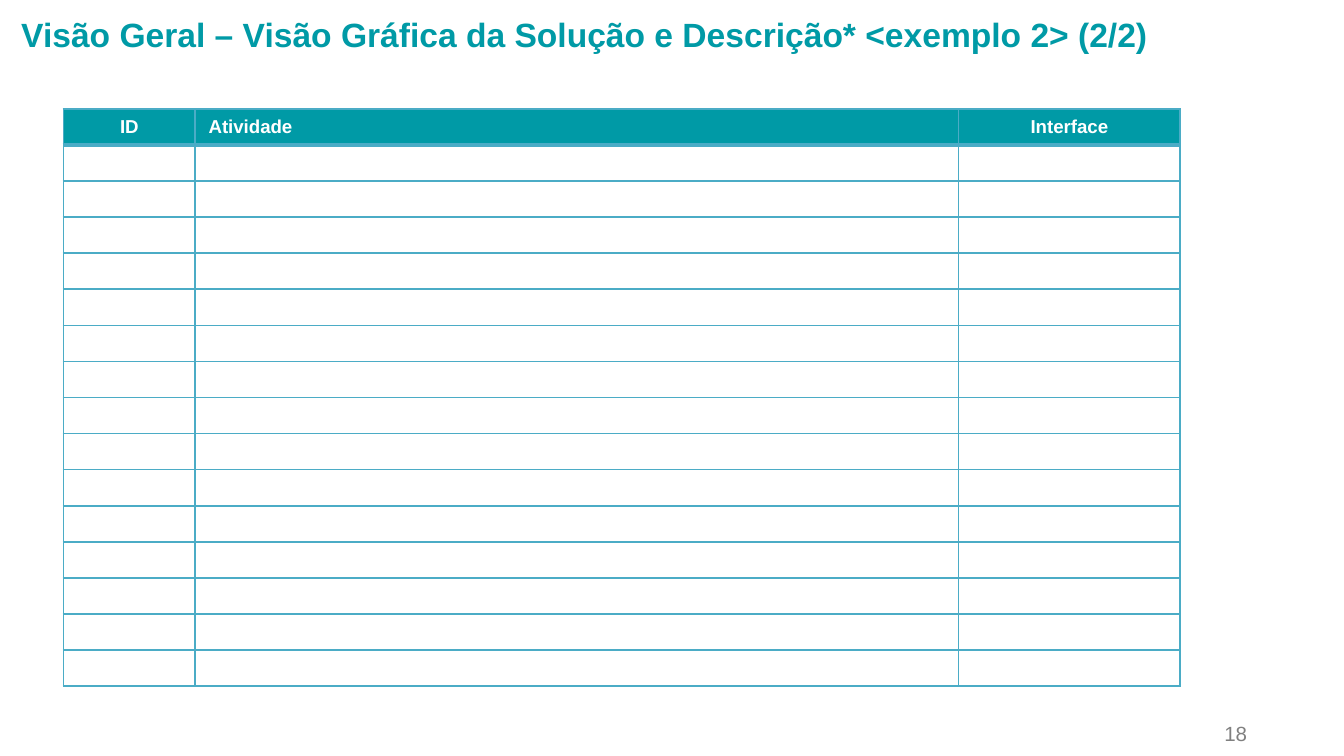
"""Build the activity table slide of a solution overview."""
import pptx
import pptx.dml.color
import pptx.enum.text
import pptx.oxml
import pptx.oxml.ns
import pptx.util

Pt = pptx.util.Pt
ALIGN = pptx.enum.text.PP_ALIGN
MIDDLE = pptx.enum.text.MSO_ANCHOR.MIDDLE
COLOURS = {"teal": "009AA6", "grid": "4BACC6", "white": "FFFFFF", "grey": "808080"}
HEADERS = [("ID", ALIGN.CENTER), ("Atividade", ALIGN.LEFT), ("Interface", ALIGN.CENTER)]
COLUMN_WIDTHS = [70.6, 408.9, 118.8]
EMPTY_ROWS = 15
HEADER_HEIGHT, ROW_HEIGHT = 18.7, 19.34


def rgb(name):
    """Return the named colour."""
    return pptx.dml.color.RGBColor.from_string(COLOURS[name])


def write(frame, text, size, colour, bold=False, align=ALIGN.LEFT):
    """Write one styled paragraph into a text frame."""
    para = frame.paragraphs[0]
    para.text = text
    para.alignment = align
    para.font.name = "Arial"
    para.font.size = Pt(size)
    para.font.bold = bold
    para.font.color.rgb = rgb(colour)
    return para


def add_text(page, left, top, width, height, text, size, colour, **style):
    """Add a text box, centred vertically, and return its paragraph."""
    box = page.shapes.add_textbox(Pt(left), Pt(top), Pt(width), Pt(height))
    frame = box.text_frame
    frame.word_wrap = True
    frame.vertical_anchor = MIDDLE
    return write(frame, text, size, colour, **style)


def set_borders(cell, bottom=1):
    """Draw the four borders of a cell."""
    widths = {"lnL": 1, "lnR": 1, "lnT": 1, "lnB": bottom}
    for index, (side, width) in enumerate(widths.items()):
        line = pptx.oxml.parse_xml(
            f'<a:{side} {pptx.oxml.ns.nsdecls("a")} w="{Pt(width)}"><a:solidFill>'
            f'<a:srgbClr val="{COLOURS["grid"]}"/></a:solidFill></a:{side}>')
        cell._tc.get_or_add_tcPr().insert(index, line)


def fill_header(cell, text, align):
    """Style a header cell and write its label."""
    cell.fill.solid()
    cell.fill.fore_color.rgb = rgb("teal")
    cell.vertical_anchor = MIDDLE
    write(cell.text_frame, text, 10, "white", bold=True, align=align)
    set_borders(cell, bottom=2)


def fill_empty(cell):
    """Style a blank cell, with a text size that keeps its row low."""
    cell.fill.background()
    size = pptx.oxml.parse_xml(f'<a:endParaRPr {pptx.oxml.ns.nsdecls("a")} sz="1000"/>')
    cell.text_frame.paragraphs[0]._p.append(size)
    set_borders(cell)


def add_activity_table(page, left, top):
    """Add the activity table with its header and blank rows."""
    height = HEADER_HEIGHT + EMPTY_ROWS * ROW_HEIGHT
    table = page.shapes.add_table(EMPTY_ROWS + 1, len(HEADERS), Pt(left), Pt(top),
                                  Pt(sum(COLUMN_WIDTHS)), Pt(height)).table
    table.horz_banding = False
    for column, width in zip(table.columns, COLUMN_WIDTHS):
        column.width = Pt(width)
    for index, row in enumerate(table.rows):
        row.height = Pt(ROW_HEIGHT if index else HEADER_HEIGHT)
        for cell, (text, align) in zip(row.cells, HEADERS):
            if index:
                fill_empty(cell)
            else:
                fill_header(cell, text, align)


def main():
    """Build and save the slide."""
    deck = pptx.Presentation()
    deck.slide_width, deck.slide_height = Pt(720), Pt(405)
    page = deck.slides.add_slide(deck.slide_layouts[6])
    number = add_text(page, 609, 383.8, 66.2, 20.9, "18", 11, "grey", align=ALIGN.RIGHT)
    number.line_spacing = 0.8
    add_activity_table(page, 34, 58.4)
    add_text(page, 4.3, 3.8, 633.6, 29,
             "Visão Geral – Visão Gráfica da Solução e Descrição* <exemplo 2> (2/2)",
             18, "teal", bold=True)
    deck.save("out.pptx")


if __name__ == "__main__":
    main()
